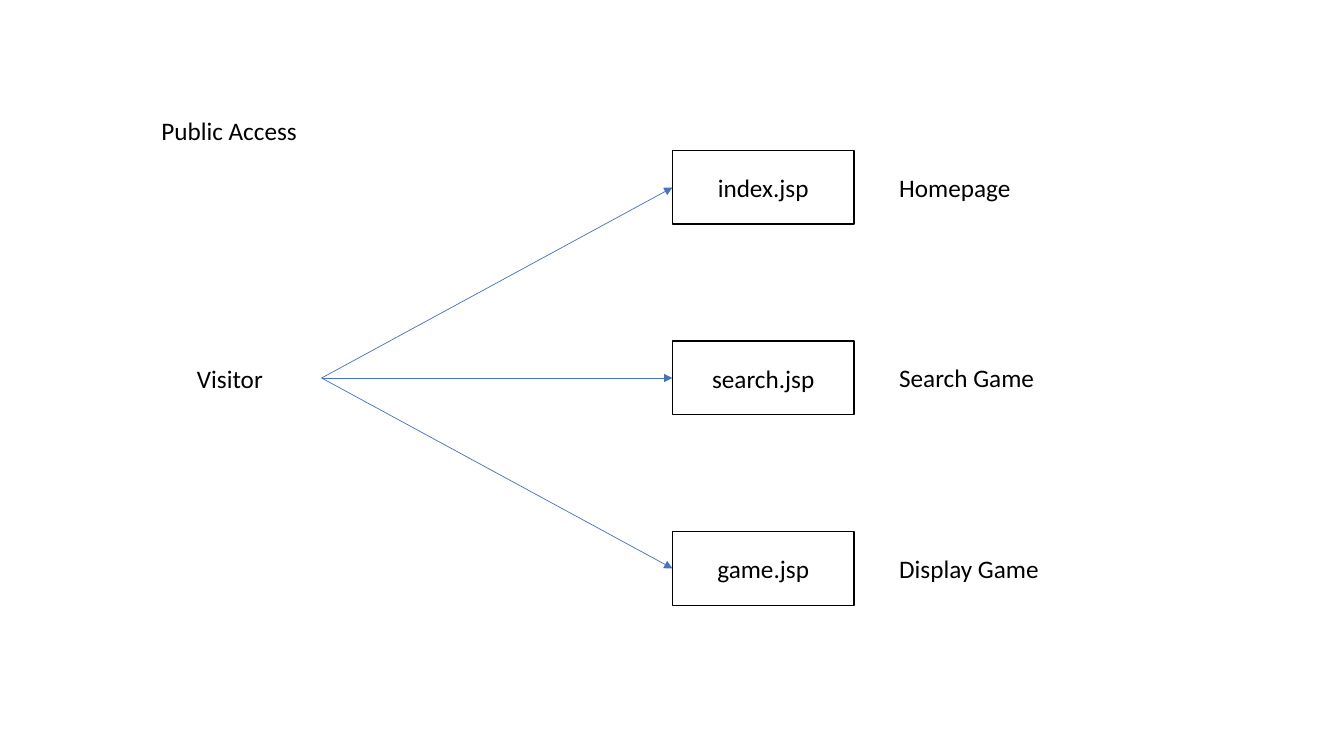
from pptx import Presentation
from pptx.dml.color import RGBColor
from pptx.enum import shapes, text
from pptx.oxml.ns import qn
from pptx.util import Inches, Pt
from lxml import etree

COLORS = {"paper": "FFFFFF", "ink": "000000", "arrow": "4472C4"}
FONT = {"name": "Calibri", "size": Pt(18), "bold": False}
LABEL_FRAME = {"word_wrap": False, "auto_size": text.MSO_AUTO_SIZE.NONE,
               "vertical_anchor": text.MSO_ANCHOR.TOP}
BOX_FRAME = {"word_wrap": True, "vertical_anchor": text.MSO_ANCHOR.MIDDLE}
PAGES = [("index.jsp", "Homepage"), ("search.jsp", "Search Game"), ("game.jsp", "Display Game")]


def color(name):
    return RGBColor.from_string(COLORS[name])


def apply(target, values):
    for name, value in values.items():
        setattr(target, name, value)


def write(shape, words, frame_format, alignment):
    frame = shape.text_frame
    frame.text = words
    apply(frame, frame_format)
    paragraph = frame.paragraphs[0]
    paragraph.alignment = alignment
    font = paragraph.runs[0].font
    apply(font, FONT)
    font.color.rgb = color("ink")


def add_heading(slide, words, left, top, width, height):
    title = slide.shapes.title
    apply(title, {"left": Inches(left), "top": Inches(top),
                  "width": Inches(width), "height": Inches(height)})
    write(title, words, LABEL_FRAME, text.PP_ALIGN.LEFT)


def add_box(slide, words, outline, left, top, width, height):
    shape = slide.shapes.add_shape(shapes.MSO_SHAPE.RECTANGLE, Inches(left), Inches(top),
                                   Inches(width), Inches(height))
    shape.shadow.inherit = False
    shape.fill.solid()
    shape.fill.fore_color.rgb = color("paper")
    shape.line.color.rgb = color(outline)
    shape.line.width = Pt(1)
    write(shape, words, BOX_FRAME, text.PP_ALIGN.CENTER)
    return shape


def add_arrow(slide, source, target):
    connector = slide.shapes.add_connector(shapes.MSO_CONNECTOR.STRAIGHT, 0, 0, 0, 0)
    connector.begin_connect(source, 3)
    connector.end_connect(target, 1)
    connector.line.color.rgb = color("arrow")
    connector.line.width = Pt(0.5)
    etree.SubElement(connector.line._get_or_add_ln(), qn("a:tailEnd"), type="triangle")
    etree.SubElement(connector._element.spPr, qn("a:effectLst"))


def add_page(slide, visitor, page, description, left, middle):
    width, height, label_height = 1.8, 0.73, 0.4
    box = add_box(slide, page, "ink", left, middle - height / 2, width, height)
    add_arrow(slide, visitor, box)
    label = slide.shapes.add_textbox(Inches(left + width + 0.35),
                                     Inches(middle - label_height / 2),
                                     Inches(1.6), Inches(label_height))
    write(label, description, LABEL_FRAME, text.PP_ALIGN.LEFT)


def add_access_map(slide, left, top, pitch):
    middle = top + pitch
    visitor_height = 0.75
    visitor = add_box(slide, "Visitor", "paper", left, middle - visitor_height / 2,
                      1.82, visitor_height)
    for row, (page, description) in enumerate(PAGES):
        add_page(slide, visitor, page, description, left + 5.3, top + row * pitch)


def main():
    presentation = Presentation()
    presentation.slide_width = Inches(13.33)
    presentation.slide_height = Inches(7.5)
    slide = presentation.slides.add_slide(presentation.slide_layouts[5])
    add_heading(slide, "Public Access", 1.5, 1.09, 1.56, 0.4)
    add_access_map(slide, 1.37, 1.86, 1.89)
    presentation.save("out.pptx")


if __name__ == "__main__":
    main()
